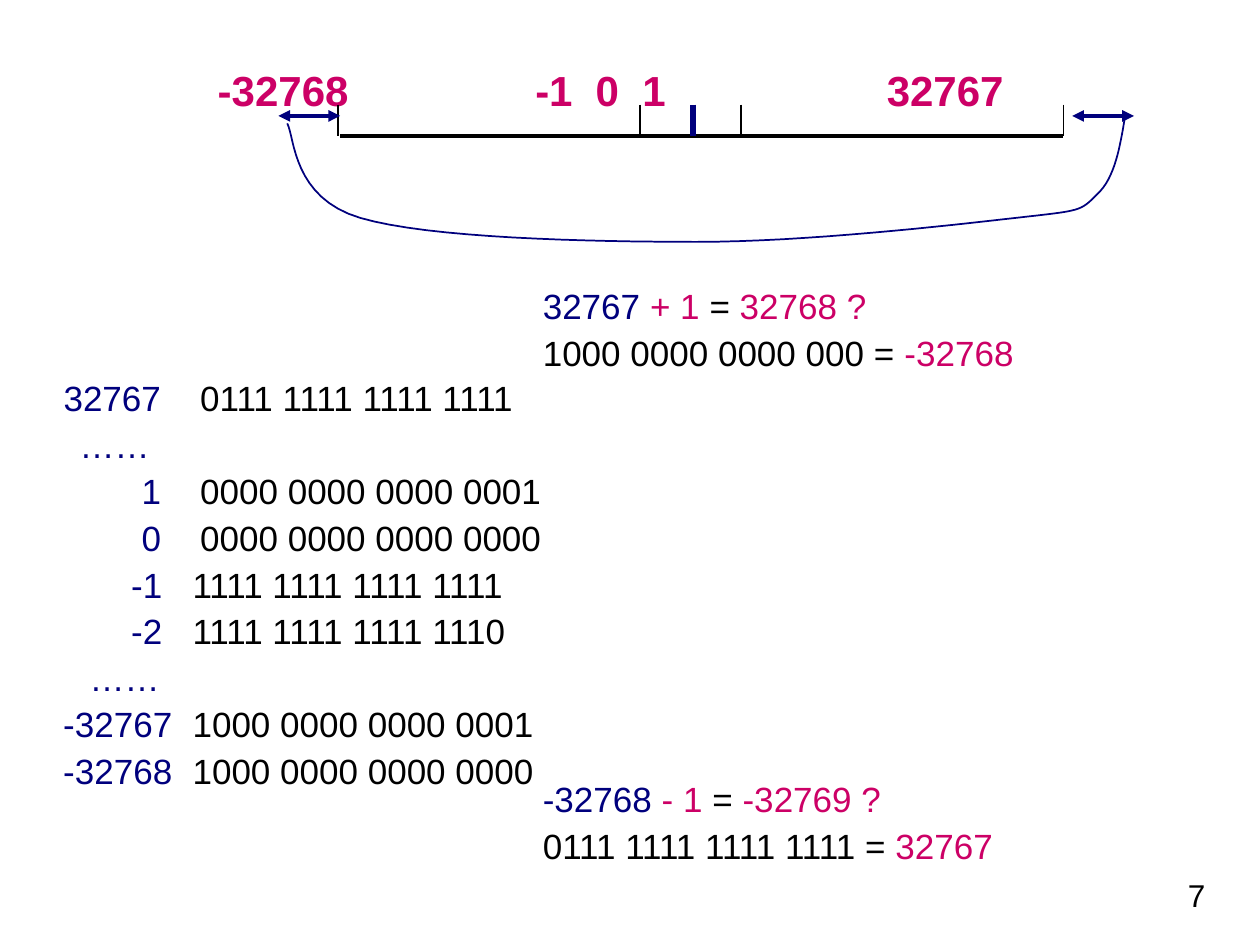
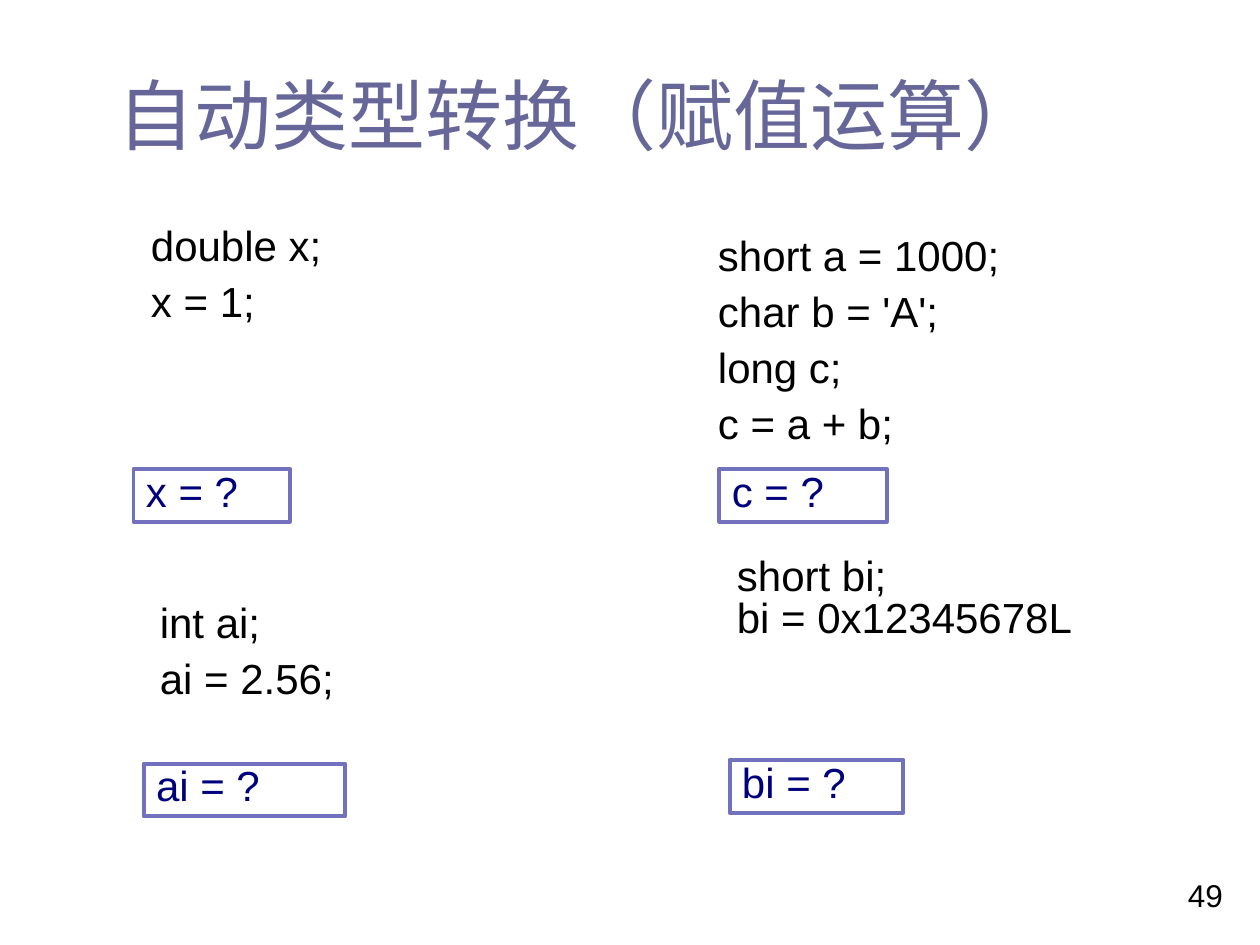
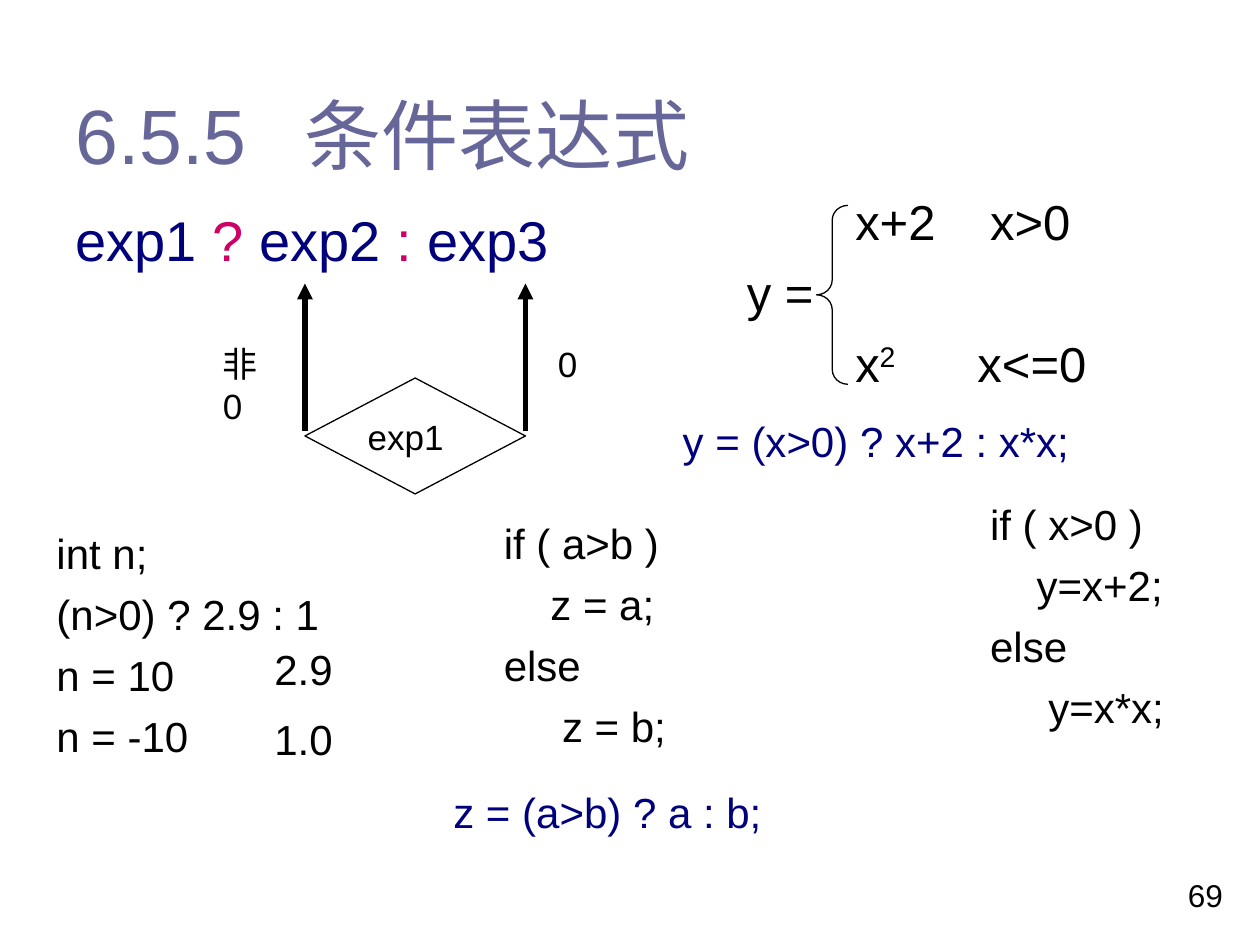
import dataclasses

import pptx
import pptx.dml.color
import pptx.enum.shapes
import pptx.enum.text
import pptx.oxml.ns
import pptx.util
from lxml import etree

Inches = pptx.util.Inches
Pt = pptx.util.Pt
SHAPE = pptx.enum.shapes.MSO_SHAPE


@dataclasses.dataclass(frozen=True)
class Theme:
    font: str = "Arial"
    ink: str = "000000"
    navy: str = "00007D"
    pink: str = "CC0066"
    slate: str = "666699"
    frame: str = "7171BD"
    head: int = 44
    lead: int = 32
    math: int = 28
    body: int = 24
    small: int = 20
    foot: int = 18


T = Theme()


def color(code):
    return pptx.dml.color.RGBColor.from_string(code)


def style(run, size, code, bold=False):
    run.font.name = T.font
    run.font.size = Pt(size)
    run.font.bold = bold
    run.font.color.rgb = color(code)


def child(parent, tag, **attrs):
    return etree.SubElement(parent, pptx.oxml.ns.qn(tag), **attrs)


def set_tabs(para, stops):
    tabs = child(para._p.get_or_add_pPr(), "a:tabLst")
    for side, place in stops:
        child(tabs, "a:tab", pos=str(Inches(place)), algn=side)


def write(frame, lines, size, code=T.ink, gap=None, space=1.0, indent=0, bold=False):
    frame.word_wrap = True
    frame.auto_size = pptx.enum.text.MSO_AUTO_SIZE.NONE
    gap = size / 4 if gap is None else gap
    for i, line in enumerate(lines):
        para = frame.add_paragraph() if i else frame.paragraphs[0]
        if isinstance(line, str):
            line = [(line, code)]
        for words, shade in line:
            run = para.add_run()
            run.text = words
            style(run, size, shade, bold)
        para.alignment = pptx.enum.text.PP_ALIGN.LEFT
        para.line_spacing = space
        para.space_before = Pt(gap if i else 0)
        if indent:
            para._p.get_or_add_pPr().set("marL", str(Inches(indent)))
    return frame.paragraphs


def text(slide, box, lines, size, code=T.ink, **looks):
    frame = slide.shapes.add_textbox(*map(Inches, box)).text_frame
    return write(frame, lines, size, code, **looks)


def outline(shape, code, width):
    shape.shadow.inherit = False
    shape.fill.background()
    shape.line.color.rgb = color(code)
    shape.line.width = Pt(width)
    return shape


def draw(slide, kind, box, code=T.ink, width=0.75):
    return outline(slide.shapes.add_shape(kind, *map(Inches, box)), code, width)


def line(slide, start, end, code=T.ink, width=1, heads=()):
    link = slide.shapes.add_connector(
        pptx.enum.shapes.MSO_CONNECTOR.STRAIGHT, *map(Inches, start + end))
    link.line.color.rgb = color(code)
    link.line.width = Pt(width)
    stroke = link.line._get_or_add_ln()
    for tag in heads:
        child(stroke, tag, type="triangle")
    child(link._element.spPr, "a:effectLst")


def number(slide, page):
    text(slide, (9.33, 6.9, 0.55, 0.4), [str(page)], T.foot)


def title(slide, box, words):
    shape = slide.shapes.title
    shape.left, shape.top, shape.width, shape.height = map(Inches, box)
    shape.text_frame.vertical_anchor = pptx.enum.text.MSO_ANCHOR.MIDDLE
    return write(shape.text_frame, [words], T.head, T.slate)[0]


def curve(start, pieces, steps=16):
    points = []
    for a, b, end in pieces:
        for i in range(1, steps + 1):
            t = i / steps
            u = 1 - t
            points.append(tuple(
                u**3 * p + 3 * u * u * t * q + 3 * u * t * t * r + t**3 * s
                for p, q, r, s in zip(start, a, b, end)))
        start = end
    return points


def ruler(slide, left, top):
    label = text(slide, (left - 1.3, top - 0.46, 8.9, 0.58),
                 ["\t-32768\t-1\t0\t1\t32767"], T.body, T.pink, bold=True)[0]
    set_tabs(label, [("l", x) for x in (0.72, 3.24, 3.72, 4.09, 6.03)])
    base = top + 0.16
    line(slide, (left + 0.49, base), (left + 6.23, base), width=2.25)
    for x in (0.47, 2.87, 3.29, 3.67, 6.23):
        looks = (T.navy, 3) if x == 3.29 else (T.ink, 1)
        line(slide, (left + x, top - 0.09), (left + x, base), *looks)
    for x in (0, 6.3):
        line(slide, (left + x, top), (left + x + 0.49, top),
             T.navy, 2.25, ("a:headEnd", "a:tailEnd"))
    start = (6.72, 0)
    loop = curve(start, [
        ((6.68, 0.24), (6.64, 0.49), (6.5, 0.62)),
        ((6.36, 0.76), (6.38, 0.75), (5.85, 0.81)),
        ((5.32, 0.87), (4.19, 1), (3.32, 1)),
        ((2.45, 1), (1.19, 0.97), (0.65, 0.81)),
        ((0.11, 0.65), (0.13, 0.17), (0.07, 0.06)),
    ])
    spots = [(Inches(left + x), Inches(top + y)) for x, y in [start] + loop]
    path = slide.shapes.build_freeform(*spots[0])
    path.add_line_segments(spots[1:], close=False)
    outline(path.convert_to_shape(), T.navy, 1)


def codes(slide, box):
    plus, minus, wide = (0.93, 1.24), (0.94, 1.18), (1.02, 1.18)
    rows = [
        (plus, "32767", "0111 1111 1111 1111"),
        ((0.84,), "……", ""),
        (plus, "1", "0000 0000 0000 0001"),
        (plus, "0", "0000 0000 0000 0000"),
        (minus, "-1", "1111 1111 1111 1111"),
        (minus, "-2", "1111 1111 1111 1110"),
        ((0.92,), "……", ""),
        (wide, "-32767", "1000 0000 0000 0001"),
        (wide, "-32768", "1000 0000 0000 0000"),
    ]
    lines = [[("\t" + value, T.navy)] + ([("\t" + bits, T.ink)] if bits else [])
             for _, value, bits in rows]
    paras = text(slide, box, lines, T.small, space=0.9)
    for para, (stops, _, _) in zip(paras, rows):
        set_tabs(para, zip("rl", stops))


def wrap(slide, box, first, sign, wrong, bits, result):
    text(slide, box, [
        [(first, T.navy), (sign, T.pink), ("=", T.ink), (wrong, T.pink)],
        [(bits, T.ink), (result, T.pink)],
    ], T.small, space=0.9)


def range_slide(deck):
    slide = deck.slides.add_slide(deck.slide_layouts[6])
    number(slide, 7)
    ruler(slide, 2.21, 0.92)
    codes(slide, (0.25, 2.98, 5.62, 3.75))
    wrap(slide, (4.21, 2.25, 5.66, 0.92), "32767 ", "+ 1 ", " 32768 ?",
         "1000 0000 0000 000 =", " -32768")
    wrap(slide, (4.21, 6.16, 5.1, 0.92), "-32768 ", "- 1 ", " -32769 ?",
         "0111 1111 1111 1111 =", " 32767")


def quiz(slide, box, lines, name, ask, space=0.9, gap=6):
    left, top = box[:2]
    text(slide, box, lines, T.body, space=space, gap=gap, indent=0.5)
    right, down, width = ask
    shape = draw(slide, SHAPE.RECTANGLE, (left + right, top + down, width, 0.42),
                 T.frame, 2.25)
    shape.text_frame.vertical_anchor = pptx.enum.text.MSO_ANCHOR.TOP
    write(shape.text_frame, [name + " = ?"], T.body, T.navy, space=0.8)


def cast_slide(deck):
    slide = deck.slides.add_slide(deck.slide_layouts[5])
    number(slide, 49)
    title(slide, (0.83, 0.44, 8.5, 0.92), "自动类型转换（赋值运算）")
    quiz(slide, (0.6, 1.74, 2.5, 1.08), ["double x;", "x = 1;"],
         "x", (0.46, 1.98, 1.24))
    quiz(slide, (5.1, 1.82, 3.83, 2.17),
         ["short a = 1000;", "char b = 'A';", "long c;", "c = a + b;"],
         "c", (0.61, 1.9, 1.33))
    quiz(slide, (0.67, 4.73, 3.75, 1.17), ["int ai;", "ai = 2.56;"],
         "ai", (0.47, 1.33, 1.6))
    quiz(slide, (5.25, 4.42, 4.39, 1.17), ["short bi;", "bi = 0x12345678L"],
         "bi", (0.54, 1.61, 1.38), 0.7, 4)


def choice(slide, left, top):
    parts = [("exp1 ", T.navy), ("? ", T.pink), ("exp2 ", T.navy),
             (": ", T.pink), ("exp3", T.navy)]
    text(slide, (left, top, 5.23, 0.83), [parts], T.lead)
    text(slide, (left + 1.17, top + 1.09, 0.6, 0.75), ["非0"], T.small)
    text(slide, (left + 3.83, top + 1.09, 0.33, 0.44), ["0"], T.small)
    draw(slide, SHAPE.DIAMOND, (left + 1.92, top + 1.42, 1.75, 0.92))
    text(slide, (left + 2.32, top + 1.67, 1, 0.44), ["exp1"], T.small)
    for x in (left + 1.92, left + 3.67):
        line(slide, (x, top + 0.67), (x, top + 1.84), width=3, heads=("a:headEnd",))


def cases(slide, left, top):
    square = [(part, T.ink) for part in ("\tx", "2", "\tx<=0")]
    paras = text(slide, (left, top, 3.86, 1.67),
                 ["\tx+2\tx>0", "y =", square], T.math)
    set_tabs(paras[0], [("l", 0.86), ("l", 1.93)])
    set_tabs(paras[2], [("l", 0.86), ("l", 1.83)])
    paras[2].runs[1]._r.get_or_add_rPr().set("baseline", "30000")
    brace = draw(slide, SHAPE.LEFT_BRACE, (left + 0.65, top + 0.16, 0.25, 1.42))
    brace.adjustments[0] = 0.47
    text(slide, (left - 0.51, top + 1.78, 4.44, 0.5),
         ["y = (x>0) ? x+2 : x*x;"], T.body, T.navy)


def values(slide, left, top):
    text(slide, (left, top, 3.47, 1.96),
         ["int n;", "(n>0) ? 2.9 : 1", "n = 10", "n = -10"], T.body)
    text(slide, (left + 1.42, top + 0.95, 2.13, 1.06), ["2.9", "1.0"], T.body,
         gap=13, space=0.94, indent=0.31)


def branch(slide, left, top, test, yes, no):
    text(slide, (left, top, 1.81, 1.92),
         [f"if ( {test} )", "    " + yes, "else", "     " + no], T.body)


def choice_slide(deck):
    slide = deck.slides.add_slide(deck.slide_layouts[5])
    number(slide, 69)
    set_tabs(title(slide, (0.5, 0.5, 7.57, 1.12), "6.5.5\t条件表达式"), [("l", 1.82)])
    choice(slide, 0.5, 1.58)
    cases(slide, 5.83, 1.47)
    values(slide, 0.35, 4.14)
    branch(slide, 7.76, 3.91, "x>0", "y=x+2;", "y=x*x;")
    branch(slide, 3.9, 4.06, "a>b", "z = a;", "z = b;")
    text(slide, (3.5, 6.19, 3.47, 0.5), ["z = (a>b) ? a : b;"], T.body, T.navy)


def main():
    deck = pptx.Presentation()
    deck.slide_width, deck.slide_height = Inches(10), Inches(7.5)
    range_slide(deck)
    cast_slide(deck)
    choice_slide(deck)
    deck.save("out.pptx")


if __name__ == "__main__":
    main()
